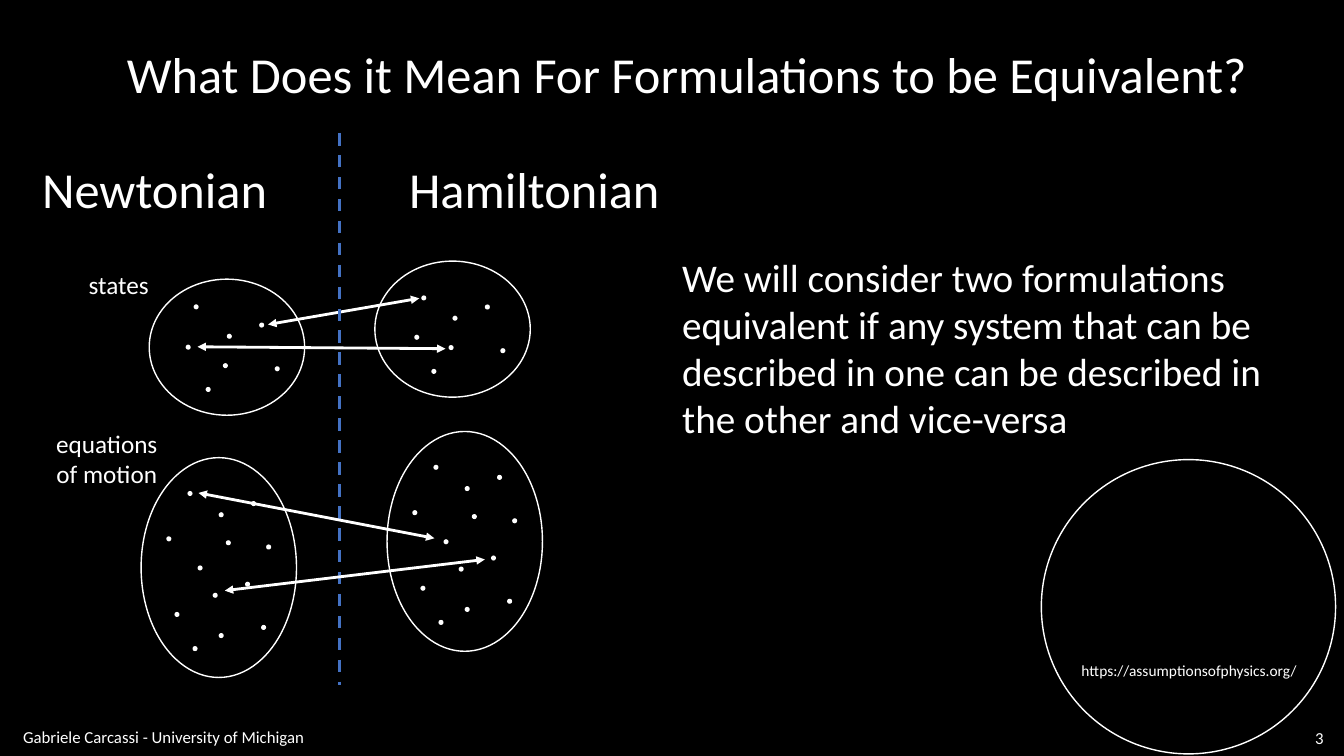
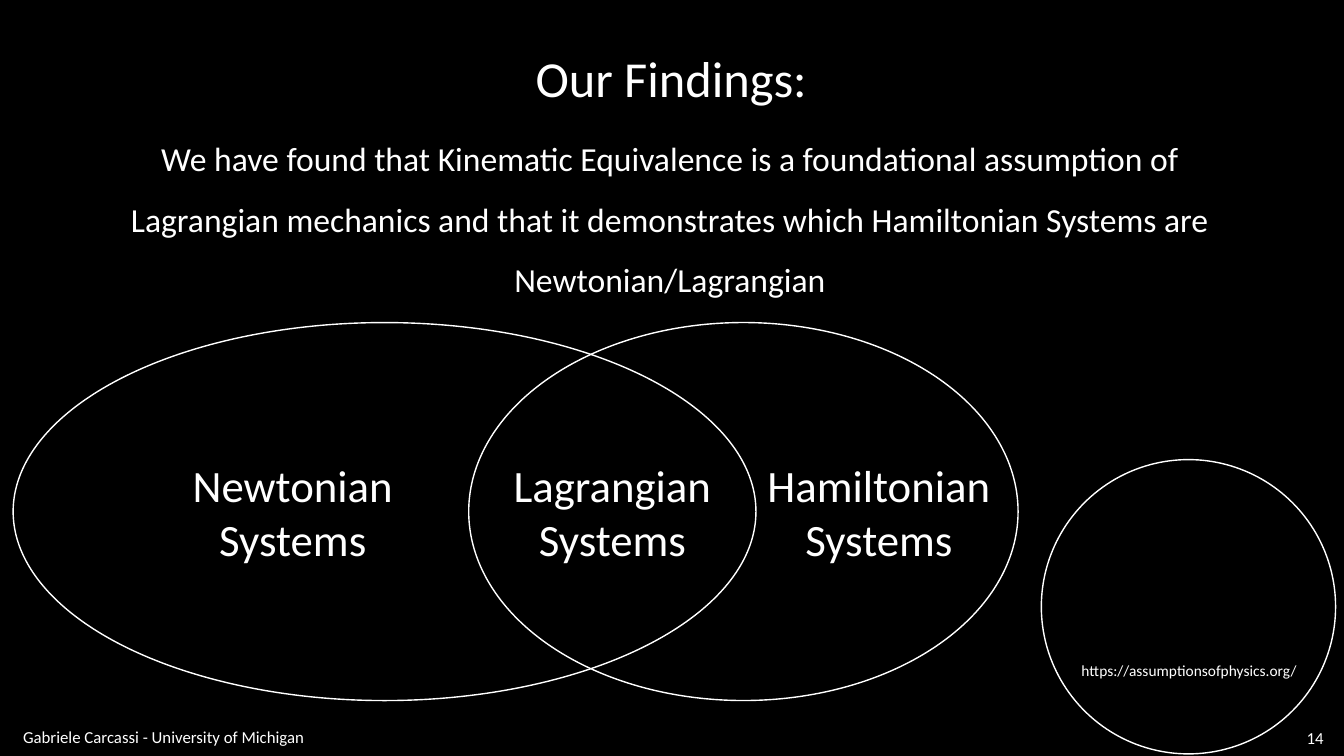
"""Build two slides on the equivalence of formulations of mechanics."""
from dataclasses import dataclass

from lxml import etree
from pptx import Presentation
from pptx.dml.color import RGBColor
from pptx.enum.dml import MSO_LINE
from pptx.enum.shapes import MSO_CONNECTOR, MSO_SHAPE
from pptx.enum.text import MSO_ANCHOR, MSO_AUTO_SIZE, PP_ALIGN
from pptx.oxml.ns import qn
from pptx.presentation import Presentation as Deck
from pptx.shapes.connector import Connector
from pptx.slide import Slide
from pptx.util import Pt

OVAL = MSO_SHAPE.OVAL
STRAIGHT = MSO_CONNECTOR.STRAIGHT
DASH = MSO_LINE.DASH
LEFT, CENTER, RIGHT = PP_ALIGN.LEFT, PP_ALIGN.CENTER, PP_ALIGN.RIGHT
TOP, MIDDLE = MSO_ANCHOR.TOP, MSO_ANCHOR.MIDDLE
GROW, FIXED = MSO_AUTO_SIZE.SHAPE_TO_FIT_TEXT, MSO_AUTO_SIZE.NONE


@dataclass(frozen=True)
class Theme:
    font: str = "Calibri"
    background: RGBColor = RGBColor(0x00, 0x00, 0x00)
    ink: RGBColor = RGBColor(0xFF, 0xFF, 0xFF)
    divider: RGBColor = RGBColor(0x44, 0x72, 0xC4)
    title: float = 36
    set_name: float = 32
    statement: float = 28
    finding: float = 24
    label: float = 18
    footer: float = 12
    link: float = 11
    outline: float = 1
    arrow: float = 2
    divider_width: float = 2.25


THEME = Theme()


@dataclass(frozen=True)
class Box:
    left: float
    top: float
    width: float
    height: float


@dataclass(frozen=True)
class Text:
    box: Box
    paragraphs: tuple[str, ...]
    size: float
    align: PP_ALIGN = LEFT
    wrap: bool = True
    anchor: MSO_ANCHOR = TOP
    fit: MSO_AUTO_SIZE = GROW
    spacing: float = 1.0


@dataclass(frozen=True)
class Line:
    x1: float
    y1: float
    x2: float
    y2: float


@dataclass(frozen=True)
class PointSet:
    outline: Box
    offsets: tuple[tuple[float, float], ...]


DOT = 3.6
STATES_SIZE = (111, 97.2)
EQUATIONS_SIZE = (111, 157)
STATE_OFFSETS = ((55.4, 39), (78.5, 31), (52.6, 60), (89.6, 62.2), (40.3, 77))
EQUATION_OFFSETS = (
    (33.1, 23.8), (18, 56.2), (55.4, 39), (78.5, 31), (60.5, 59), (89.3, 62), (40.3, 77),
    (23.8, 110.2), (51.1, 96.5), (74.2, 88.6), (55.4, 125.3), (85.7, 119.5), (36.7, 134.6),
)
POINT_SETS = (
    PointSet(Box(106.6, 199.4, *STATES_SIZE), ((31.7, 18), (26, 46.8)) + STATE_OFFSETS),
    PointSet(Box(267.8, 186.5, *STATES_SIZE), ((33.1, 24.5), (28.1, 52.6)) + STATE_OFFSETS),
    PointSet(Box(100.8, 326.9, *EQUATIONS_SIZE), EQUATION_OFFSETS),
    PointSet(Box(276.5, 308.2, *EQUATIONS_SIZE), EQUATION_OFFSETS),
)
STATE_ARROWS = (Line(191.5, 231.8, 299.5, 213.1), Line(141.1, 247.7, 318.2, 249.1))
EQUATION_ARROWS = (Line(141.8, 352.1, 310.3, 384.5), Line(160.6, 421.9, 346.3, 399.6))
DIVIDER = Line(242.6, 95, 242.6, 489)

EQUIVALENCE_TEXTS = (
    Text(Box(83.5, 27.4, 821.5, 51.1),
         ("What Does it Mean For Formulations to be Equivalent?",), THEME.title, wrap=False),
    Text(Box(480.2, 177.1, 457.2, 143.3),
         ("We will consider two formulations equivalent if any system that can be "
          "described in one can be described in the other and vice-versa",), THEME.statement),
    Text(Box(23, 109.4, 177.1, 51.1), ("Newtonian",), THEME.title, wrap=False),
    Text(Box(285.1, 109.4, 195.1, 51.1), ("Hamiltonian",), THEME.title, wrap=False),
    Text(Box(56.2, 188.6, 57.6, 28.8), ("states",), THEME.label, wrap=False),
    Text(Box(32.4, 302.4, 87.8, 51.1), ("equations\nof motion",), THEME.label, CENTER, False),
)

VENN_SETS = (Box(334.8, 230.4, 392.4, 270), Box(9.4, 230.4, 530.6, 270))
FINDINGS_TEXTS = (
    Text(Box(374.4, 30.2, 210.2, 51.1), ("Our Findings:",), THEME.title, CENTER, False),
    Text(Box(67, 80.6, 823, 134),
         ("We have found that Kinematic Equivalence is a foundational assumption of "
          "Lagrangian mechanics and that it demonstrates which Hamiltonian Systems are "
          "Newtonian/Lagrangian",), THEME.finding, CENTER, spacing=1.5),
) + tuple(
    Text(Box(left, 323.3, width, 85), (family, "Systems"), THEME.set_name, CENTER)
    for family, left, width in (
        ("Newtonian", 129.6, 159.1), ("Lagrangian", 358.6, 157.7), ("Hamiltonian", 540, 175.7))
)


def add_text(slide: Slide, text: Text) -> None:
    box = text.box
    frame = slide.shapes.add_textbox(
        Pt(box.left), Pt(box.top), Pt(box.width), Pt(box.height)).text_frame
    frame.word_wrap = text.wrap
    frame.auto_size = text.fit
    frame.vertical_anchor = text.anchor
    for index, words in enumerate(text.paragraphs):
        paragraph = frame.add_paragraph() if index else frame.paragraphs[0]
        paragraph.text = words
        paragraph.alignment = text.align
        paragraph.line_spacing = text.spacing
        paragraph.font.name = THEME.font
        paragraph.font.size = Pt(text.size)
        paragraph.font.color.rgb = THEME.ink


def add_oval(slide: Slide, box: Box, filled: bool = False) -> None:
    oval = slide.shapes.add_shape(
        OVAL, Pt(box.left), Pt(box.top), Pt(box.width), Pt(box.height))
    oval.shadow.inherit = False
    if filled:
        oval.fill.solid()
        oval.fill.fore_color.rgb = THEME.ink
        oval.line.fill.background()
    else:
        oval.fill.background()
        oval.line.color.rgb = THEME.ink
        oval.line.width = Pt(THEME.outline)


def add_line(slide: Slide, line: Line, color: RGBColor, width: float) -> Connector:
    connector = slide.shapes.add_connector(
        STRAIGHT, Pt(line.x1), Pt(line.y1), Pt(line.x2), Pt(line.y2))
    connector.line.color.rgb = color
    connector.line.width = Pt(width)
    etree.SubElement(connector._element.spPr, qn("a:effectLst"))
    return connector


def add_arrow(slide: Slide, line: Line) -> None:
    stroke = add_line(slide, line, THEME.ink, THEME.arrow).line._get_or_add_ln()
    for end in ("a:headEnd", "a:tailEnd"):
        etree.SubElement(stroke, qn(end), type="triangle")


def add_point_set(slide: Slide, points: PointSet) -> None:
    add_oval(slide, points.outline)
    for dx, dy in points.offsets:
        add_oval(slide, Box(points.outline.left + dx, points.outline.top + dy, DOT, DOT), True)


def add_base_slide(deck: Deck, number: int) -> Slide:
    slide = deck.slides.add_slide(deck.slide_layouts[6])
    add_oval(slide, Box(743.8, 328.3, 210.2, 210.2))
    add_text(slide, Text(Box(765.4, 468.7, 169.2, 20.9),
                         ("https://assumptionsofphysics.org/",), THEME.link, wrap=False))
    add_text(slide, Text(Box(9.4, 517, 470.2, 18.7),
                         ("Gabriele Carcassi - University of Michigan",),
                         THEME.footer, anchor=MIDDLE, fit=FIXED))
    add_text(slide, Text(Box(908.6, 517.7, 44, 18), (str(number),),
                         THEME.footer, RIGHT, anchor=MIDDLE, fit=FIXED))
    return slide


def build_equivalence(deck: Deck) -> None:
    slide = add_base_slide(deck, 3)
    for points in POINT_SETS:
        add_point_set(slide, points)
    for arrow in STATE_ARROWS:
        add_arrow(slide, arrow)
    add_line(slide, DIVIDER, THEME.divider, THEME.divider_width).line.dash_style = DASH
    for arrow in EQUATION_ARROWS:
        add_arrow(slide, arrow)
    for text in EQUIVALENCE_TEXTS:
        add_text(slide, text)


def build_findings(deck: Deck) -> None:
    slide = add_base_slide(deck, 14)
    for venn_set in VENN_SETS:
        add_oval(slide, venn_set)
    for text in FINDINGS_TEXTS:
        add_text(slide, text)


def main() -> None:
    deck = Presentation()
    deck.slide_width, deck.slide_height = Pt(960), Pt(540)
    backdrop = deck.slide_master.background.fill
    backdrop.solid()
    backdrop.fore_color.rgb = THEME.background
    build_equivalence(deck)
    build_findings(deck)
    deck.save("out.pptx")


if __name__ == "__main__":
    main()
